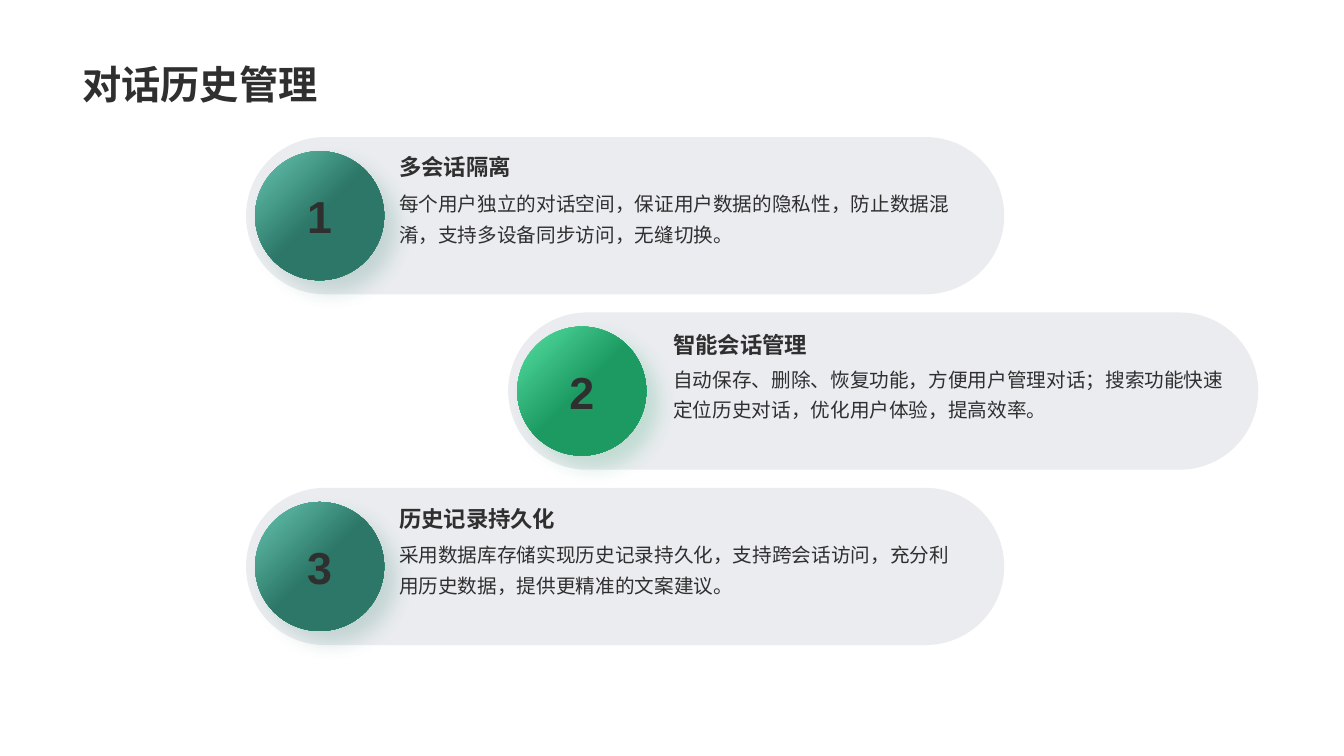
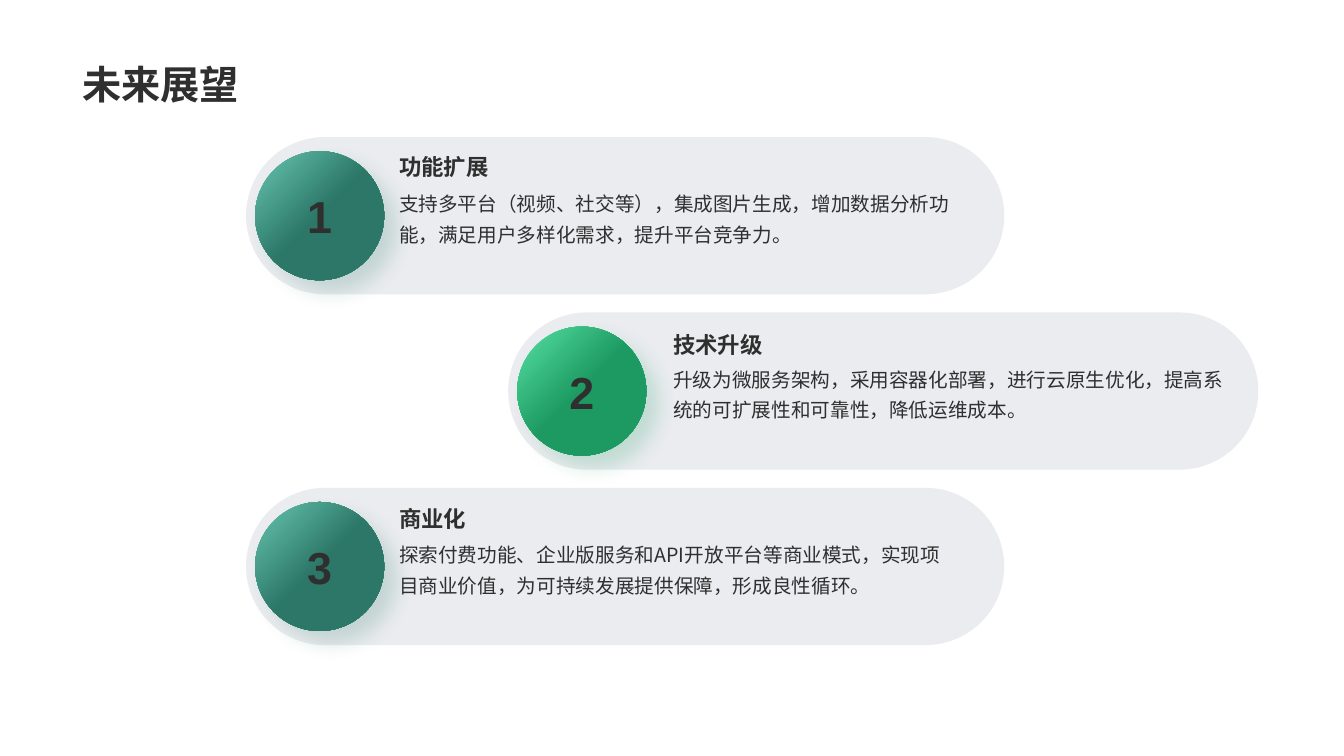
from dataclasses import dataclass

from lxml import etree
from pptx import Presentation
from pptx.dml.color import RGBColor
from pptx.enum.shapes import MSO_SHAPE
from pptx.enum.text import MSO_ANCHOR, MSO_AUTO_SIZE, PP_ALIGN
from pptx.oxml.ns import qn
from pptx.shapes.autoshape import Shape
from pptx.slide import Slide
from pptx.util import Inches, Pt

PILL = MSO_SHAPE.ROUNDED_RECTANGLE
DISC = MSO_SHAPE.OVAL
MIDDLE = MSO_ANCHOR.MIDDLE
BOTTOM = MSO_ANCHOR.BOTTOM
GROW = MSO_AUTO_SIZE.SHAPE_TO_FIT_TEXT
FIXED = MSO_AUTO_SIZE.NONE
CENTER = PP_ALIGN.CENTER

INK = RGBColor(0x2F, 0x2F, 0x2F)
SLATE = RGBColor(0x77, 0x84, 0x95)
AQUA = RGBColor(0x67, 0xC7, 0xB2)
TEAL = RGBColor(0x2C, 0x77, 0x67)
MINT = RGBColor(0x58, 0xE1, 0xA4)
GREEN = RGBColor(0x1C, 0x9A, 0x62)

HAN = "Noto Sans CJK SC"
LATIN = "Arial"

TOP, STEP = 1.36, 1.74
HEIGHT = 1.56
SIZE = 1.28
INSET = 0.09
WIDTH = 5.76
DROP = 0.32


@dataclass(frozen=True)
class Slot:
    left: float
    width: float
    text_left: float
    head_gap: float
    light: RGBColor
    dark: RGBColor


@dataclass(frozen=True)
class Item:
    head: str
    body: str


@dataclass(frozen=True)
class Page:
    title: str
    items: tuple[Item, ...]


SLOTS = (
    Slot(2.44, 7.52, 3.86, 0.11, AQUA, TEAL),
    Slot(5.04, 7.44, 6.58, 0.14, MINT, GREEN),
    Slot(2.44, 7.52, 3.86, 0.12, AQUA, TEAL),
)

PAGES = (
    Page("对话历史管理", (
        Item("多会话隔离",
             "每个用户独立的对话空间，保证用户数据的隐私性，防止数据混淆，支持多设备同步访问，无缝切换。"),
        Item("智能会话管理",
             "自动保存、删除、恢复功能，方便用户管理对话；搜索功能快速定位历史对话，优化用户体验，提高效率。"),
        Item("历史记录持久化",
             "采用数据库存储实现历史记录持久化，支持跨会话访问，充分利用历史数据，提供更精准的文案建议。"),
    )),
    Page("未来展望", (
        Item("功能扩展",
             "支持多平台（视频、社交等），集成图片生成，增加数据分析功能，满足用户多样化需求，提升平台竞争力。"),
        Item("技术升级",
             "升级为微服务架构，采用容器化部署，进行云原生优化，提高系统的可扩展性和可靠性，降低运维成本。"),
        Item("商业化",
             "探索付费功能、企业版服务和API开放平台等商业模式，实现项目商业价值，为可持续发展提供保障，形成良性循环。"),
    )),
)


def write(shape: Shape, text: str, size: int, bold: bool = True,
          face: str = HAN, lines: float = 1.0) -> None:
    para = shape.text_frame.paragraphs[0]
    para.line_spacing = lines
    run = para.add_run()
    run.text = text
    font = run.font
    font.size = Pt(size)
    font.bold = bold
    font.color.rgb = INK
    font.name = face
    etree.SubElement(run._r.get_or_add_rPr(), qn("a:ea"), typeface=face)


def add_box(slide: Slide, left: float, top: float, width: float,
            height: float) -> Shape:
    box = slide.shapes.add_textbox(
        Inches(left), Inches(top), Inches(width), Inches(height))
    box.text_frame.word_wrap = True
    box.text_frame.auto_size = GROW
    return box


def add_pill(slide: Slide, slot: Slot, top: float) -> None:
    pill = slide.shapes.add_shape(
        PILL, Inches(slot.left), Inches(top), Inches(slot.width), Inches(HEIGHT))
    pill.adjustments[0] = 0.5
    pill.shadow.inherit = False
    pill.line.fill.background()
    pill.fill.solid()
    pill.fill.fore_color.rgb = SLATE
    tint = pill._element.spPr.find(".//" + qn("a:srgbClr"))
    etree.SubElement(tint, qn("a:alpha"), val="15000")


def add_glow(shape: Shape, color: RGBColor) -> None:
    shape.shadow.inherit = False
    effects = shape._element.spPr.find(qn("a:effectLst"))
    outer = etree.SubElement(
        effects, qn("a:outerShdw"), blurRad=str(Pt(14)), dist=str(Pt(12)),
        dir=str(45 * 60000), algn="tl", rotWithShape="0")
    tint = etree.SubElement(outer, qn("a:srgbClr"), val=str(color))
    etree.SubElement(tint, qn("a:alpha"), val="20000")


def add_disc(slide: Slide, slot: Slot, top: float, label: str) -> None:
    disc = slide.shapes.add_shape(
        DISC, Inches(slot.left + INSET), Inches(top + (HEIGHT - SIZE) / 2),
        Inches(SIZE), Inches(SIZE))
    disc.line.fill.background()
    disc.fill.gradient()
    disc.fill.gradient_angle = 315
    stops = zip(disc.fill.gradient_stops, (0, 0.5), (slot.light, slot.dark))
    for stop, place, color in stops:
        stop.position = place
        stop.color.rgb = color
    add_glow(disc, slot.dark)
    frame = disc.text_frame
    frame.vertical_anchor = MIDDLE
    frame.margin_left = frame.margin_right = 0
    frame.margin_top = frame.margin_bottom = 0
    frame.paragraphs[0].alignment = CENTER
    write(disc, label, 32, face=LATIN)


def add_item(slide: Slide, index: int, slot: Slot, item: Item) -> None:
    top = TOP + index * STEP
    add_pill(slide, slot, top)
    add_disc(slide, slot, top, str(index + 1))
    head_top = top + slot.head_gap
    body_top = top + 0.43
    body = add_box(slide, slot.text_left, body_top, WIDTH, 0.44)
    write(body, item.body, 14, bold=False, lines=1.3)
    head = add_box(slide, slot.text_left, head_top, WIDTH, 0.37)
    write(head, item.head, 16)


def add_title(slide: Slide, text: str) -> None:
    title = add_box(slide, 0.72, 0, 11.88, 1.12)
    title.text_frame.auto_size = FIXED
    title.text_frame.vertical_anchor = BOTTOM
    write(title, text, 28, lines=0.9)


def main() -> None:
    deck = Presentation()
    deck.slide_width = Inches(13.33)
    deck.slide_height = Inches(7.5)
    blank = deck.slide_layouts[6]
    for page in PAGES:
        slide = deck.slides.add_slide(blank)
        add_title(slide, page.title)
        for index, (slot, item) in enumerate(zip(SLOTS, page.items)):
            add_item(slide, index, slot, item)
    deck.save("out.pptx")


if __name__ == "__main__":
    main()
